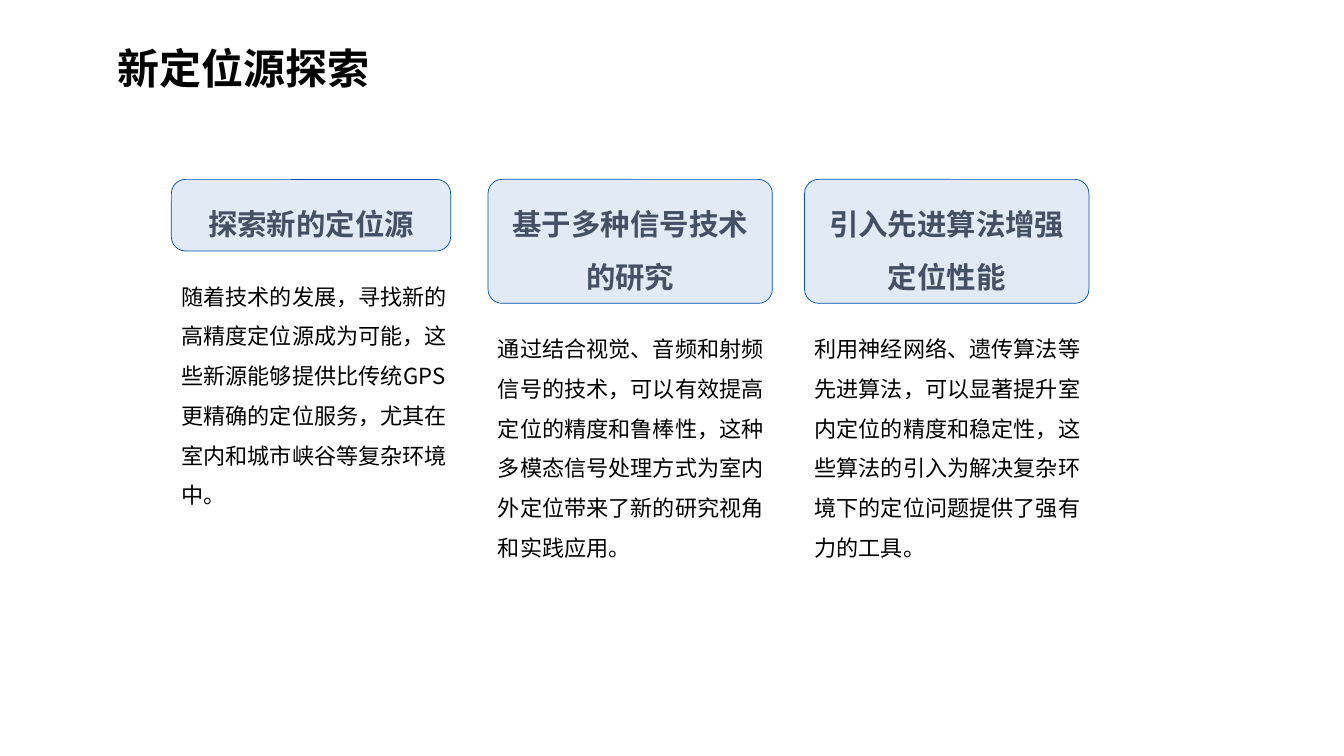
import pptx
import pptx.dml.color
import pptx.enum.shapes
import pptx.enum.text
import pptx.oxml
import pptx.oxml.ns
import pptx.util
from pptx.util import Inches

BLACK = pptx.dml.color.RGBColor(0x00, 0x00, 0x00)
SLATE = pptx.dml.color.RGBColor(0x44, 0x51, 0x64)
PALE_BLUE = pptx.dml.color.RGBColor(0xE1, 0xEA, 0xF5)
BLUE = pptx.dml.color.RGBColor(0x00, 0x50, 0xAF)

COLUMN_LEFT, COLUMN_STEP = 1.7, 3.14
HEADER_TOP, GAP = 1.78, 0.14
BODY_WIDTH, BODY_HEIGHT = 3, 2.46
CORNER_RADIUS = 0.14

# heading, heading width, heading height, body
COLUMNS = [
    ("探索新的定位源", 2.77, 0.71,
     "随着技术的发展，寻找新的高精度定位源成为可能，这些新源能够提供比传统GPS更精确的定位服务，"
     "尤其在室内和城市峡谷等复杂环境中。"),
    ("基于多种信号技术的研究", 2.82, 1.23,
     "通过结合视觉、音频和射频信号的技术，可以有效提高定位的精度和鲁棒性，"
     "这种多模态信号处理方式为室内外定位带来了新的研究视角和实践应用。"),
    ("引入先进算法增强定位性能", 2.82, 1.23,
     "利用神经网络、遗传算法等先进算法，可以显著提升室内定位的精度和稳定性，"
     "这些算法的引入为解决复杂环境下的定位问题提供了强有力的工具。"),
]


class SlideBuilder:
    font_name = "Noto Sans CJK SC"
    line_spacing = 1.5

    def __init__(self, page):
        self.page = page

    def set_text(self, shape, text, size, color, bold=False, centered=False):
        frame = shape.text_frame
        frame.text = text
        frame.word_wrap = True
        frame.auto_size = pptx.enum.text.MSO_AUTO_SIZE.SHAPE_TO_FIT_TEXT
        frame.vertical_anchor = pptx.enum.text.MSO_ANCHOR.MIDDLE
        para = frame.paragraphs[0]
        align = pptx.enum.text.PP_ALIGN
        para.alignment = align.CENTER if centered else align.LEFT
        para.line_spacing = self.line_spacing
        para.space_before = pptx.util.Pt(0)
        span = para.runs[0]
        span.font.size = pptx.util.Pt(size)
        span.font.bold = bold
        span.font.color.rgb = color
        span.font.name = self.font_name
        east_asian = pptx.oxml.parse_xml(
            f'<a:ea {pptx.oxml.ns.nsdecls("a")} typeface="{self.font_name}"/>')
        span._r.get_or_add_rPr().append(east_asian)

    def title(self, text, left, top, width, height):
        title = self.page.shapes.title
        title.left, title.top = Inches(left), Inches(top)
        title.width, title.height = Inches(width), Inches(height)
        self.set_text(title, text, 30, BLACK, bold=True)

    def body(self, text, left, top, width, height):
        box = self.page.shapes.add_textbox(
            Inches(left), Inches(top), Inches(width), Inches(height))
        self.set_text(box, text, 15.8, BLACK)

    def header(self, text, left, top, width, height):
        box = self.page.shapes.add_shape(
            pptx.enum.shapes.MSO_SHAPE.ROUNDED_RECTANGLE,
            Inches(left), Inches(top), Inches(width), Inches(height))
        box.adjustments[0] = CORNER_RADIUS / height
        box.shadow.inherit = False
        box.fill.solid()
        box.fill.fore_color.rgb = PALE_BLUE
        box.line.color.rgb = BLUE
        box.line.width = pptx.util.Pt(0.5)
        self.set_text(box, text, 21, SLATE, bold=True, centered=True)


def main():
    deck = pptx.Presentation()
    deck.slide_width, deck.slide_height = Inches(13.33), Inches(7.5)
    title_only = deck.slide_layouts[5]
    builder = SlideBuilder(deck.slides.add_slide(title_only))

    builder.title("新定位源探索", 1.07, 0.12, 10.25, 0.85)
    for index, (heading, width, height, body) in enumerate(COLUMNS):
        left = COLUMN_LEFT + index * COLUMN_STEP
        builder.body(body, left, HEADER_TOP + height + GAP, BODY_WIDTH, BODY_HEIGHT)
        builder.header(heading, left, HEADER_TOP, width, height)

    deck.save("out.pptx")


if __name__ == "__main__":
    main()
